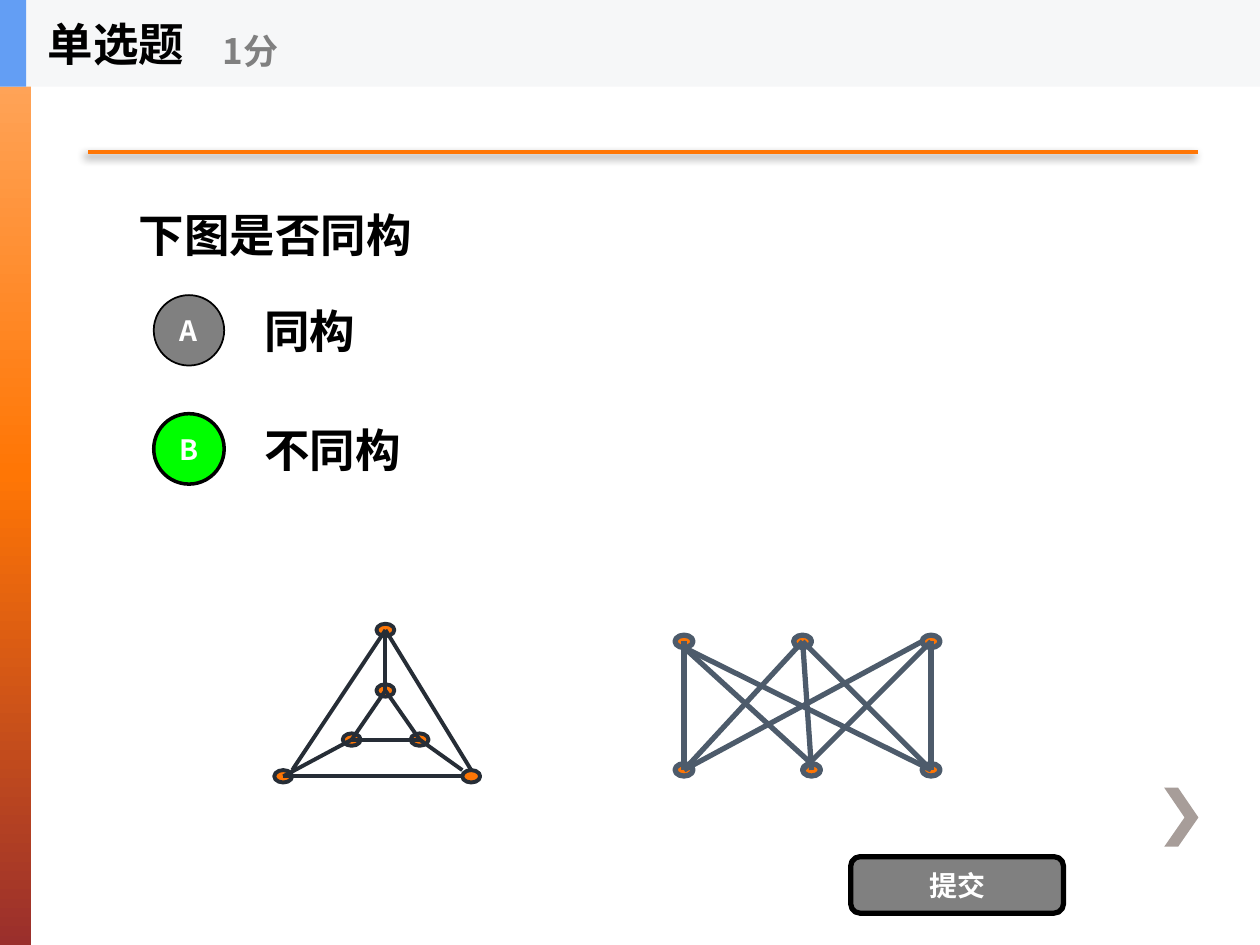
from lxml import etree
from pptx import Presentation
from pptx.dml.color import RGBColor
from pptx.enum import shapes, text
from pptx.oxml import parse_xml
from pptx.oxml.ns import nsdecls, qn
from pptx.util import Cm, Pt

FONT = "Noto Sans CJK SC"
BLACK = RGBColor(0, 0, 0)
WHITE = RGBColor(0xFF, 0xFF, 0xFF)
GREY = RGBColor(0x80, 0x80, 0x80)
GREEN = RGBColor(0, 0xFF, 0)
ORANGE = RGBColor(0xFF, 0x76, 0x05)
DARK = RGBColor(0x26, 0x2D, 0x36)
SLATE = RGBColor(0x4D, 0x5B, 0x6B)
TAUPE = RGBColor(0xA7, 0x9D, 0x99)
PALE = RGBColor(0xF6, 0xF7, 0xF8)
BLUE = RGBColor(0x63, 0x9E, 0xF4)

QUESTION = "下图是否同构"
OPTIONS = [("A", "同构", GREY, 1), ("B", "不同构", GREEN, 2)]
OPTION_TOP, OPTION_STEP = 5.77, 2.39
BAR_STOPS = [(0, "FFAD69"), (50, "FF7605"), (100, "9A2F2C")]
CHEVRON = [(23.75, 15.88), (23.47, 15.88), (23.88, 16.48), (23.47, 17.07),
           (23.75, 17.07), (24.16, 16.48)]

NODE_W, NODE_H = 0.36, 0.25
CENTRE, TOP, BOTTOM, LEFT = (0, 0), (0, -1), (0, 1), (-1, 0)
TOP_LEFT, TOP_RIGHT = (-1, -1), (1, -1)

PRISM = {
    "colour": DARK, "width": 2.25,
    "nodes": {"top": (7.77, 12.7), "left": (5.71, 15.65), "right": (9.5, 15.65),
              "in top": (7.77, 13.92), "in left": (7.09, 14.91),
              "in right": (8.46, 14.91)},
    "edges": [("top", CENTRE, "right", TOP), ("in top", CENTRE, "in right", CENTRE),
              ("left", CENTRE, "right", LEFT), ("in left", CENTRE, "in right", CENTRE),
              ("in top", CENTRE, "in left", CENTRE), ("top", CENTRE, "left", TOP_RIGHT),
              ("in right", CENTRE, "right", TOP_LEFT), ("top", CENTRE, "in top", CENTRE),
              ("in left", CENTRE, "left", CENTRE)],
}
BIPARTITE = {
    "colour": SLATE, "width": 3,
    "nodes": {"u1": (13.79, 12.93), "u2": (16.18, 12.93), "u3": (18.77, 12.93),
              "v1": (13.79, 15.52), "v2": (16.36, 15.52), "v3": (18.77, 15.52)},
    "edges": [("u1", CENTRE, "v1", CENTRE), ("u1", BOTTOM, "v3", CENTRE),
              ("u1", BOTTOM, "v2", TOP), ("u2", CENTRE, "v1", CENTRE),
              ("u2", CENTRE, "v2", CENTRE), ("u2", CENTRE, "v3", CENTRE),
              ("u3", LEFT, "v1", CENTRE), ("u3", CENTRE, "v2", LEFT),
              ("u3", CENTRE, "v3", CENTRE)],
}


def write(holder, wording, size, colour, align=text.PP_ALIGN.LEFT):
    frame = holder.text_frame
    frame.text = wording
    frame.word_wrap = True
    frame.auto_size = text.MSO_AUTO_SIZE.NONE
    frame.vertical_anchor = text.MSO_ANCHOR.MIDDLE
    paragraph = frame.paragraphs[0]
    paragraph.alignment = align
    for run in paragraph.runs:
        run.font.size = Pt(size)
        run.font.bold = True
        run.font.color.rgb = colour
        run.font.name = FONT
        etree.SubElement(run.font._element, qn("a:ea"), typeface=FONT)


def label(parent, box, wording, size, colour):
    write(parent.add_textbox(*map(Cm, box)), wording, size, colour)


def paint(shape, fill, line=None, width=0):
    shape.shadow.inherit = False
    shape.fill.solid()
    shape.fill.fore_color.rgb = fill
    if line is None:
        shape.line.fill.background()
    else:
        shape.line.color.rgb = line
        shape.line.width = Pt(width)


def block(parent, kind, box, fill, line=None, width=0):
    shape = parent.add_shape(kind, *map(Cm, box))
    paint(shape, fill, line, width)
    return shape


def button(parent, kind, box, wording, fill, width):
    shape = block(parent, kind, box, fill, BLACK, width)
    frame = shape.text_frame
    frame.margin_left = frame.margin_right = frame.margin_top = frame.margin_bottom = 0
    write(shape, wording, 16, WHITE, text.PP_ALIGN.CENTER)


def stroke(parent, start, end, colour, width):
    line = parent.add_connector(shapes.MSO_CONNECTOR.STRAIGHT, *map(Cm, start + end))
    line.line.color.rgb = colour
    line.line.width = Pt(width)
    return etree.SubElement(line._element.spPr, qn("a:effectLst"))


def draw_graph(parent, graph):
    nodes = graph["nodes"]

    def point(name, side):
        x, y = nodes[name]
        return x + side[0] * NODE_W / 2, y + side[1] * NODE_H / 2

    for name in nodes:
        block(parent, OVAL, point(name, TOP_LEFT) + (NODE_W, NODE_H),
              ORANGE, graph["colour"], graph["width"])
    for start, start_side, end, end_side in graph["edges"]:
        stroke(parent, point(start, start_side), point(end, end_side),
               graph["colour"], graph["width"])


RECT = shapes.MSO_SHAPE.RECTANGLE
OVAL = shapes.MSO_SHAPE.OVAL
ROUNDED = shapes.MSO_SHAPE.ROUNDED_RECTANGLE

deck = Presentation()
deck.slide_width, deck.slide_height = Cm(25.4), Cm(19.05)
slide = deck.slides.add_slide(deck.slide_layouts[5])
canvas = slide.shapes

question = canvas.title
question.left, question.top, question.width, question.height = map(Cm, (2.54, 1.75, 20.32, 5.94))
write(question, QUESTION, 26, BLACK)

side_bar = block(canvas, RECT, (0, 0, 0.63, 19.05), ORANGE)
stops = "".join(f'<a:gs pos="{pos * 1000}"><a:srgbClr val="{colour}"/></a:gs>'
                for pos, colour in BAR_STOPS)
bar_properties = side_bar._element.spPr
bar_properties.replace(
    bar_properties.find(qn("a:solidFill")),
    parse_xml(f'<a:gradFill {nsdecls("a")} rotWithShape="1"><a:gsLst>{stops}</a:gsLst>'
              '<a:lin ang="5400000" scaled="0"/></a:gradFill>'))

corners = [(Cm(x), Cm(y)) for x, y in CHEVRON]
outline = canvas.build_freeform(*corners[0])
outline.add_line_segments(corners[1:], close=True)
paint(outline.convert_to_shape(), TAUPE)

rule_effects = stroke(canvas, (1.78, 3.07), (24.15, 3.07), ORANGE, 2.5)
rule_effects.append(parse_xml(
    f'<a:outerShdw {nsdecls("a")} blurRad="63500" dist="38100" dir="8100000" '
    'algn="tr" rotWithShape="0"><a:srgbClr val="000000"><a:alpha val="45000"/>'
    '</a:srgbClr></a:outerShdw>'))

for row, (letter, answer, fill, width) in enumerate(OPTIONS):
    top = OPTION_TOP + row * OPTION_STEP
    label(canvas, (5.08, top, 17.78, 1.78), answer, 26, BLACK)
    button(canvas, OVAL, (3.1, top + 0.18, 1.42, 1.42), letter, fill, width)

button(canvas, ROUNDED, (17.15, 17.27, 4.29, 1.14), "提交", GREY, 3)

for graph in (PRISM, BIPARTITE):
    draw_graph(canvas, graph)

header = canvas.add_group_shape().shapes
block(header, RECT, (0, 0, 25.4, 1.75), PALE)
block(header, RECT, (0, 0, 0.53, 1.75), BLUE)
label(header, (0.71, 0, 5.28, 1.75), "单选题", 26, BLACK)
label(header, (4.24, 0.3, 6.35, 1.42), "1分", 20, GREY)

deck.save("out.pptx")
